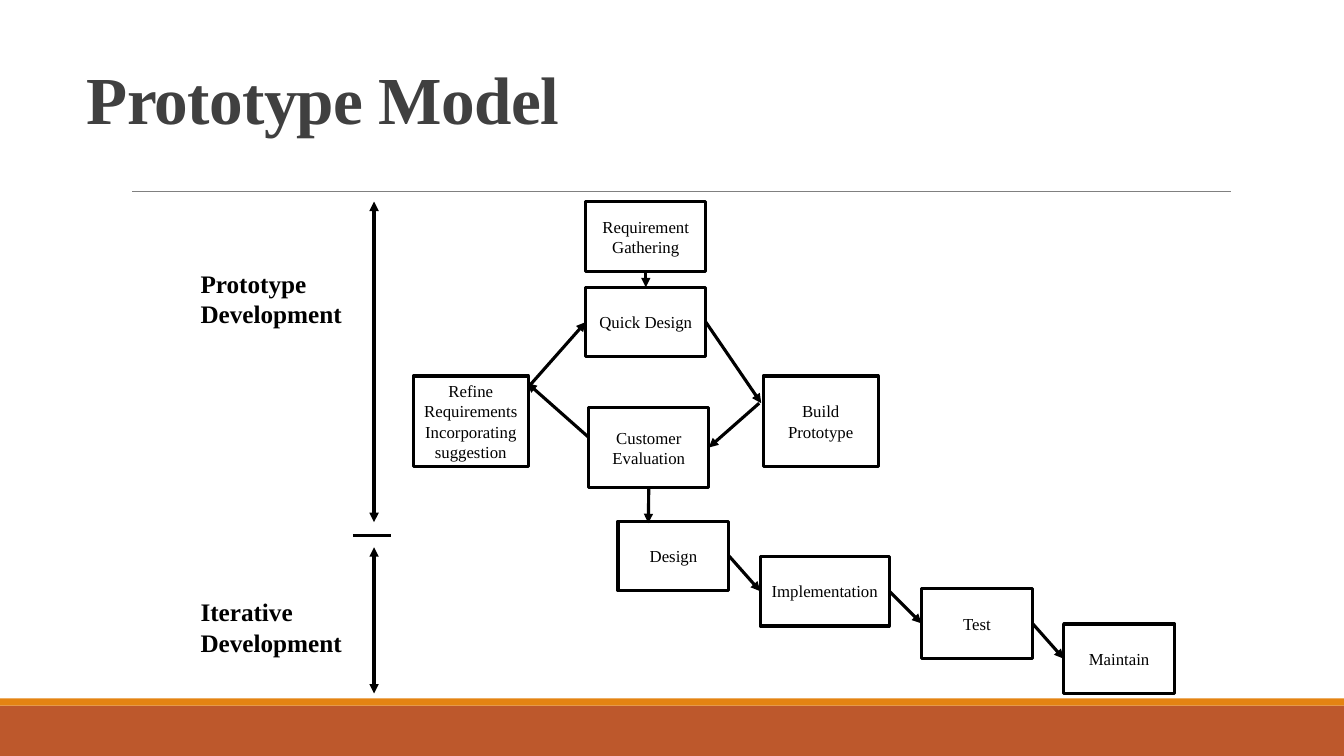
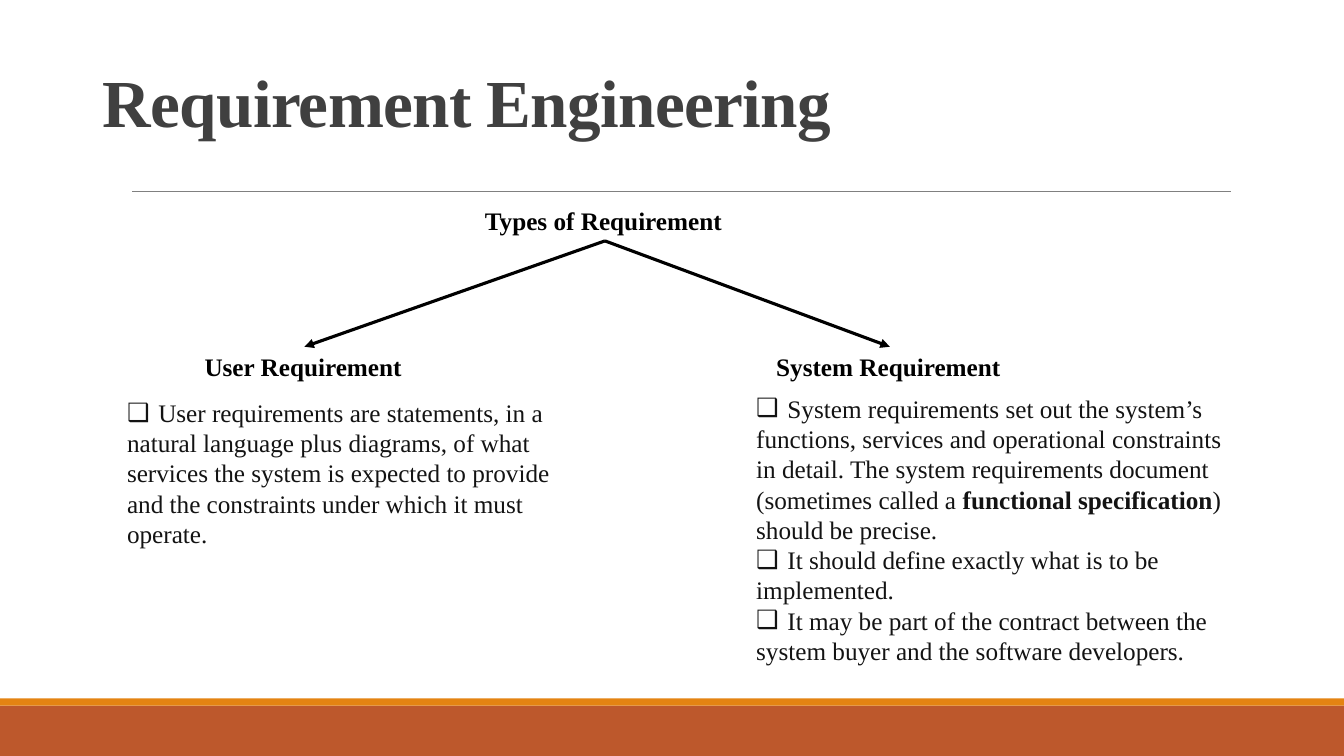
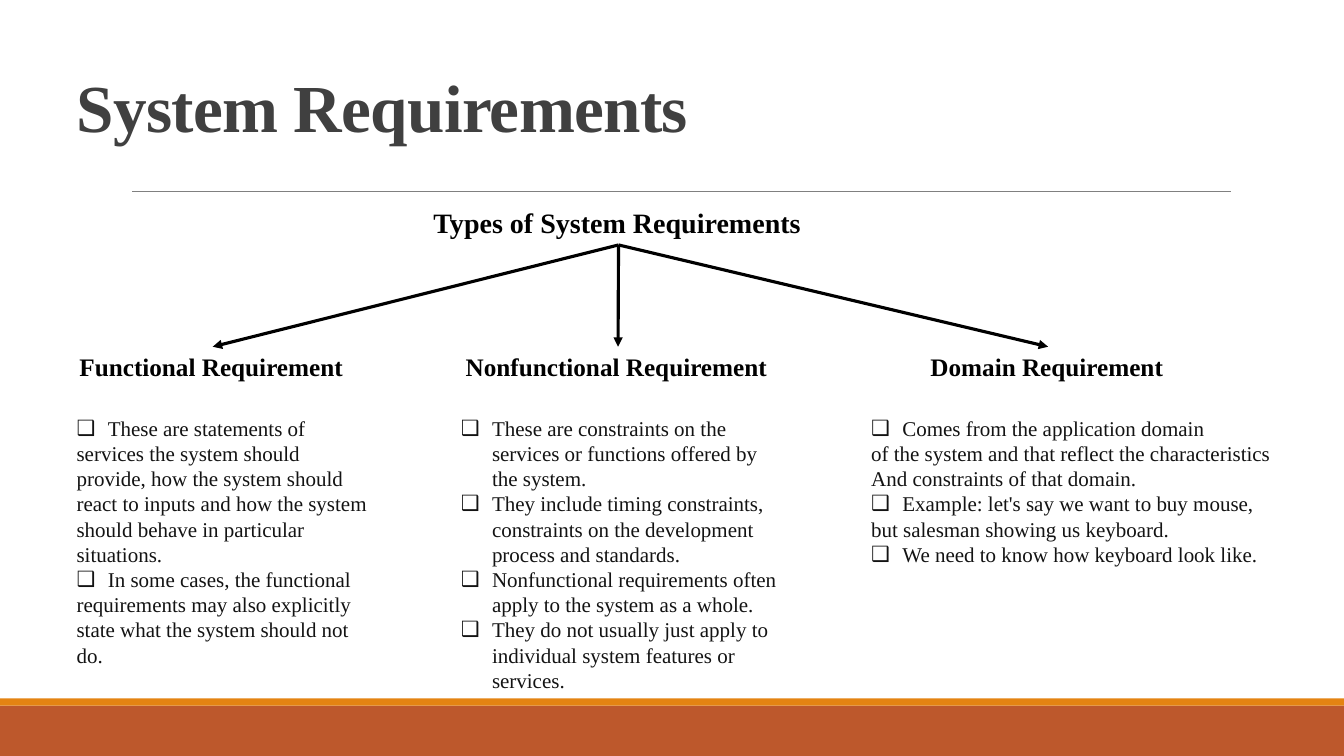
from itertools import pairwise

from lxml.etree import SubElement
from pptx import Presentation
from pptx.dml.color import RGBColor
from pptx.enum.shapes import MSO_CONNECTOR, MSO_SHAPE
from pptx.enum.text import MSO_ANCHOR, MSO_AUTO_SIZE, PP_ALIGN
from pptx.oxml.ns import qn
from pptx.util import Inches, Pt

COLORS = {
    "band": "BD582C",
    "stripe": "E48312",
    "rule": "808080",
    "title": "404040",
    "body": "131313",
    "ink": "000000",
    "paper": "FFFFFF",
}
FONT = "Times New Roman"
TITLE_ONLY, COMPARISON = 5, 4
TOP, LEFT, BOTTOM, RIGHT = range(4)


def rgb(name):
    return RGBColor.from_string(COLORS[name])


def inches(*lengths):
    return [Inches(length) for length in lengths]


def style(paragraph, size, color="ink", bold=False):
    font = paragraph.font
    font.name, font.size, font.bold = FONT, Pt(size), bold
    font.color.rgb = rgb(color)


def add_rectangle(slide, box, fill):
    rectangle = slide.shapes.add_shape(MSO_SHAPE.RECTANGLE, *inches(*box))
    rectangle.shadow.inherit = False
    rectangle.fill.solid()
    rectangle.fill.fore_color.rgb = rgb(fill)
    rectangle.line.fill.background()
    return rectangle


def add_line(slide, start, end, heads=("tailEnd",), color="ink", width=2.25):
    """Draw a line between ends that are (x, y) points or (shape, side) joints."""
    line = slide.shapes.add_connector(MSO_CONNECTOR.STRAIGHT, 0, 0, 0, 0)
    if isinstance(start[0], (int, float)):
        line.begin_x, line.begin_y = inches(*start)
    else:
        line.begin_connect(*start)
    if isinstance(end[0], (int, float)):
        line.end_x, line.end_y = inches(*end)
    else:
        line.end_connect(*end)
    line.line.color.rgb = rgb(color)
    line.line.width = Pt(width)
    properties = line.element.spPr
    for head in heads:
        SubElement(properties.find(qn("a:ln")), qn(f"a:{head}"), type="triangle")
    SubElement(properties, qn("a:effectLst"))
    return line


def add_label(slide, box, text, size=18):
    label = slide.shapes.add_textbox(*inches(*box))
    label.text_frame.word_wrap = False
    label.text_frame.text = text
    for paragraph in label.text_frame.paragraphs:
        style(paragraph, size, bold=True)
    return label


def decorate_master(prs, slide):
    """Draw the bands and the title rule, then move them to the slide master."""
    parts = [
        add_rectangle(slide, (0, 7, 13.33, 0.5), "band"),
        add_rectangle(slide, (0, 6.93, 13.33, 0.07), "stripe"),
        add_line(slide, (1.31, 1.9), (12.21, 1.9), (), "rule", 0.5),
    ]
    for position, part in enumerate(parts, start=2):
        prs.slide_master.shapes.element.insert(position, part.element)


def add_titled_slide(prs, layout, text, left, top):
    slide = prs.slides.add_slide(prs.slide_layouts[layout])
    title = slide.shapes.title
    title.left, title.top, title.width, title.height = inches(left, top, 11.5, 1.45)
    frame = title.text_frame
    frame.text = text
    frame.word_wrap = True
    frame.auto_size = MSO_AUTO_SIZE.NONE
    frame.vertical_anchor = MSO_ANCHOR.BOTTOM
    paragraph = frame.paragraphs[0]
    paragraph.alignment = PP_ALIGN.LEFT
    paragraph.line_spacing = 0.85
    style(paragraph, 48, "title", bold=True)
    paragraph.font.fill  # the colour stays solid
    paragraph._p.pPr.find(qn("a:defRPr")).set("spc", "-50")
    return slide


def add_step(slide, box, text):
    step = add_rectangle(slide, box, "paper")
    step.line.color.rgb = rgb("ink")
    step.line.width = Pt(2.25)
    frame = step.text_frame
    frame.word_wrap = True
    frame.vertical_anchor = MSO_ANCHOR.MIDDLE
    frame.text = text
    for paragraph in frame.paragraphs:
        paragraph.alignment = PP_ALIGN.CENTER
        style(paragraph, 12)
    return step


def set_bullet(paragraph, bulleted):
    indent = Inches(0.31) if bulleted else 0
    properties = paragraph._p.get_or_add_pPr()
    properties.set("marL", str(indent))
    properties.set("indent", str(-indent))
    if bulleted:
        SubElement(properties, qn("a:buChar"), char="❑")
    else:
        SubElement(properties, qn("a:buNone"))


def fill_list(body, box, items, size):
    """Each item is a bulleted line followed by plain ones; ** marks bold words."""
    body.left, body.top, body.width, body.height = inches(*box)
    frame = body.text_frame
    frame.word_wrap = True
    frame.auto_size = MSO_AUTO_SIZE.NONE
    frame.vertical_anchor = MSO_ANCHOR.TOP
    lines = [(line, place == 0) for item in items for place, line in enumerate(item)]
    for number, (line, bulleted) in enumerate(lines):
        paragraph = frame.add_paragraph() if number else frame.paragraphs[0]
        set_bullet(paragraph, bulleted)
        paragraph.alignment = PP_ALIGN.LEFT
        paragraph.space_before = Pt(0)
        paragraph.line_spacing = 1.0
        style(paragraph, size, "body")
        for place, words in enumerate(line.split("**")):
            run = paragraph.add_run()
            run.text = words
            if place % 2:
                run.font.bold = True


def add_requirement_tree(slide, root, branches, size):
    """Root and branches hold a heading box and text; branches add a list."""
    bodies = [ph for ph in slide.placeholders if ph.placeholder_format.idx in range(1, 5)]
    for spare in bodies[len(branches):]:
        spare.element.getparent().remove(spare.element)
    root_label = add_label(slide, *root)
    for body, (heading_box, heading, list_box, items) in zip(bodies, branches):
        label = add_label(slide, heading_box, heading)
        add_line(slide, (root_label, BOTTOM), (label, TOP))
        fill_list(body, list_box, items, size)


def add_prototype_cycle(slide):
    """Draw the prototyping loop and return its customer evaluation step."""
    gathering = add_step(slide, (5.81, 2, 1.19, 0.69), "Requirement Gathering")
    quick = add_step(slide, (5.81, 2.85, 1.19, 0.69), "Quick Design")
    add_step(slide, (4.1, 3.73, 1.14, 0.9), "Refine Requirements\nIncorporating suggestion")
    add_step(slide, (7.57, 3.73, 1.14, 0.9), "Build Prototype")
    evaluation = add_step(slide, (5.84, 4.04, 1.19, 0.8), "Customer Evaluation")
    for start, end in [
        ((gathering, BOTTOM), (quick, TOP)),
        ((quick, RIGHT), (7.55, 4)),
        ((7.53, 4), (evaluation, RIGHT)),
        ((5.84, 4.34), (5.23, 3.8)),
        ((5.24, 3.84), (quick, LEFT)),
    ]:
        add_line(slide, start, end)
    return evaluation


def add_delivery_stairs(slide, evaluation):
    stairs = [
        add_step(slide, (left, top, width, 0.69), text)
        for left, top, width, text in [
            (6.13, 5.17, 1.1, "Design"),
            (7.54, 5.52, 1.28, "Implementation"),
            (9.14, 5.84, 1.1, "Test"),
            (10.55, 6.19, 1.1, "Maintain"),
        ]
    ]
    add_line(slide, (evaluation, BOTTOM), (6.43, 5.19))
    for upper, lower in pairwise(stairs):
        add_line(slide, (upper, RIGHT), (lower, LEFT))


def add_phase_scale(slide):
    for text, label_top, top, bottom in [
        ("Prototype\nDevelopment", 2.61, 2, 5.18),
        ("Iterative\nDevelopment", 5.87, 5.43, 6.88),
    ]:
        add_label(slide, (1.89, label_top, 1.62, 0.71), text)
        add_line(slide, (3.71, top), (3.71, bottom), ("headEnd", "tailEnd"))
    add_line(slide, (3.5, 5.31), (3.88, 5.31), ())


USER_ITEMS = [
    [
        "User requirements are statements, in a",
        "natural language plus diagrams, of what",
        "services the system is expected to provide",
        "and the constraints under which it must",
        "operate.",
    ],
]
SYSTEM_ITEMS = [
    [
        "System requirements set out the system’s",
        "functions, services and operational constraints",
        "in detail. The system requirements document",
        "(sometimes called a **functional specification**)",
        "should be precise.",
    ],
    ["It should define exactly what is to be", "implemented."],
    [
        "It may be part of the contract between the",
        "system buyer and the software developers.",
    ],
]
FUNCTIONAL_ITEMS = [
    [
        "These are statements of",
        "services the system should provide, how the system should react to inputs "
        "and how the system should behave in particular situations.",
    ],
    [
        "In some cases, the functional",
        "requirements may also explicitly state what the system should not do.",
    ],
]
NONFUNCTIONAL_ITEMS = [
    ["These are constraints on the services or functions offered by the system."],
    [
        "They include timing constraints, constraints on the development process "
        "and standards."
    ],
    ["Nonfunctional requirements often apply to the system as a whole."],
    ["They do not usually just apply to individual system features or services."],
]
DOMAIN_ITEMS = [
    [
        "Comes from the application domain",
        "of the system and that reflect the characteristics",
        "And constraints of that domain.",
    ],
    [
        "Example: let's say we want to buy mouse,",
        "but salesman showing us keyboard.",
    ],
    ["We need to know how keyboard look like."],
]


def main():
    prs = Presentation()
    prs.slide_width, prs.slide_height = inches(13.33, 7.5)

    prototype = add_titled_slide(prs, TITLE_ONLY, "Prototype Model", 0.76, -0.03)
    decorate_master(prs, prototype)
    evaluation = add_prototype_cycle(prototype)
    add_delivery_stairs(prototype, evaluation)
    add_phase_scale(prototype)

    engineering = add_titled_slide(prs, COMPARISON, "Requirement Engineering", 0.92, 0)
    add_requirement_tree(
        engineering,
        ((4.71, 1.99, 2.58, 0.4), "Types of Requirement"),
        [
            ((1.93, 3.44, 2.18, 0.4), "User Requirement",
             (1.16, 3.89, 4.5, 1.62), USER_ITEMS),
            ((7.6, 3.44, 2.45, 0.4), "System Requirement",
             (7.4, 3.85, 4.93, 2.83), SYSTEM_ITEMS),
        ],
        18,
    )

    system = add_titled_slide(prs, COMPARISON, "System Requirements", 0.66, 0.05)
    add_requirement_tree(
        system,
        ((4.2, 1.99, 3.87, 0.44), "Types of System Requirements", 20),
        [
            ((0.69, 3.44, 2.84, 0.4), "Functional Requirement",
             (0.66, 4.07, 3.15, 2.63), FUNCTIONAL_ITEMS),
            ((4.52, 3.44, 3.22, 0.4), "Nonfunctional Requirement",
             (4.47, 4.07, 3.4, 2.88), NONFUNCTIONAL_ITEMS),
            ((9.13, 3.44, 2.53, 0.4), "Domain Requirement",
             (8.54, 4.07, 4.25, 1.87), DOMAIN_ITEMS),
        ],
        15,
    )
    prs.save("out.pptx")


if __name__ == "__main__":
    main()
